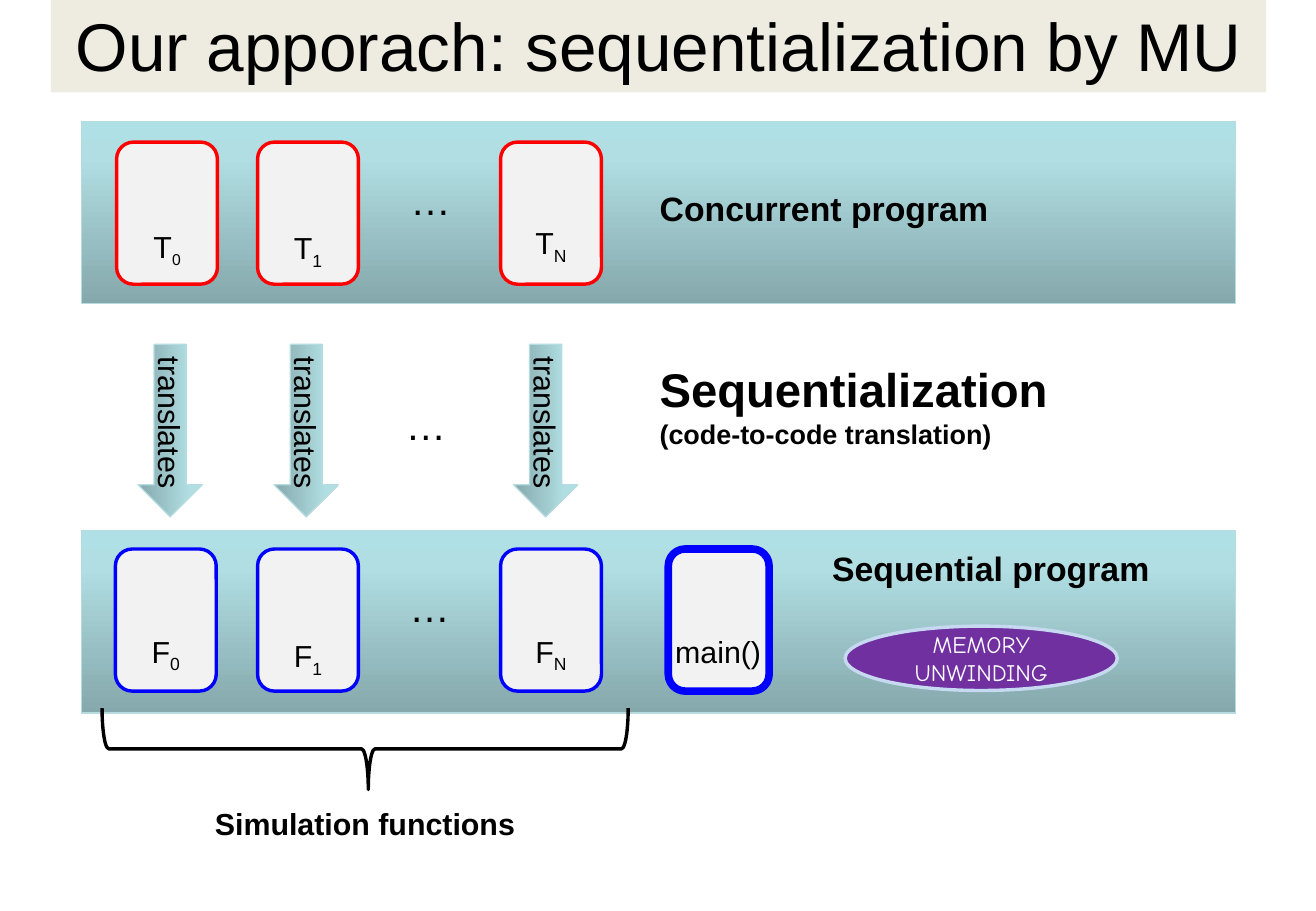
from copy import deepcopy

from pptx import Presentation
from pptx.dml.color import RGBColor
from pptx.enum.shapes import MSO_SHAPE
from pptx.enum.text import MSO_ANCHOR, PP_ALIGN
from pptx.util import Emu, Pt

RECTANGLE = MSO_SHAPE.RECTANGLE
ROUNDED = MSO_SHAPE.ROUNDED_RECTANGLE
ARROW = MSO_SHAPE.RIGHT_ARROW
BRACE = MSO_SHAPE.LEFT_BRACE
ELLIPSE = MSO_SHAPE.OVAL
LEFT, CENTER = PP_ALIGN.LEFT, PP_ALIGN.CENTER
MIDDLE = MSO_ANCHOR.MIDDLE

EMU_PER_PX = 9144  # 100 px to the inch
CARD_WIDTH = 83
RED, BLUE, BLACK = "FF0000", "0000FF", "000000"
BAND_STOPS = ((0, "85A8AC"), (0.8, "B0DEE2"), (1, "AFE0E5"))
BAND_LINE = "B6DCE0"


def px(value):
    return Emu(value * EMU_PER_PX)


def rgb(color):
    return RGBColor.from_string(color)


def add_run(paragraph, text, size=18, color=BLACK, font="Arial", bold=False, subscript=False):
    run = paragraph.add_run()
    run.text = text
    run.font.size = Pt(size)
    run.font.name = font
    run.font.bold = bold
    run.font.color.rgb = rgb(color)
    if subscript:
        run.font._element.set("baseline", "-25000")


def add_text(slide, box, text, align=LEFT, **text_format):
    """Add a text box and return its frame and first paragraph."""
    frame = slide.shapes.add_textbox(*map(px, box)).text_frame
    frame.word_wrap = True
    paragraph = frame.paragraphs[0]
    paragraph.alignment = align
    add_run(paragraph, text, **text_format)
    return frame, paragraph


def add_shape(slide, kind, box, fill=None, line=None, line_width=2, rotation=0, adjustments=()):
    shape = slide.shapes.add_shape(kind, *map(px, box))
    shape.shadow.inherit = False
    shape.rotation = rotation
    for index, value in enumerate(adjustments):
        shape.adjustments[index] = value
    if fill:
        shape.fill.solid()
        shape.fill.fore_color.rgb = rgb(fill)
    else:
        shape.fill.background()
    if line:
        shape.line.color.rgb = rgb(line)
        shape.line.width = Pt(line_width)
    else:
        shape.line.fill.background()
    return shape


def write_inside(shape, text, wrap=True, **text_format):
    """Write centred text in a shape and return its frame."""
    frame = shape.text_frame
    frame.word_wrap = wrap
    frame.vertical_anchor = MIDDLE
    frame.paragraphs[0].alignment = CENTER
    add_run(frame.paragraphs[0], text, **text_format)
    return frame


def add_gradient_shape(slide, kind, box, rotation=0):
    shape = add_shape(slide, kind, box, line=BAND_LINE, line_width=0.75, rotation=rotation)
    shape.fill.gradient()
    shape.fill.gradient_angle = 90
    stop_list = shape._element.spPr.gradFill.gsLst
    stop_list.append(deepcopy(stop_list[0]))
    for stop, (position, color) in zip(shape.fill.gradient_stops, BAND_STOPS):
        stop.position = position
        stop.color.rgb = rgb(color)
    return shape


def add_card(slide, left, top, color, label_top, name, index="", label_width=67, line_width=2):
    """Add a rounded card with its name and subscript index."""
    add_shape(slide, ROUNDED, (left, top, CARD_WIDTH, 117), "F2F2F2", color,
              line_width, adjustments=(0.167,))
    label_left = left + (CARD_WIDTH - label_width) // 2
    _, paragraph = add_text(slide, (label_left, label_top, label_width, 40), name, CENTER)
    if index:
        add_run(paragraph, index, size=16 if name + index == "T0" else 18, subscript=True)


def add_arrow(slide, left):
    arrow = add_gradient_shape(slide, ARROW, (left, 328, 142, 53), rotation=90)
    write_inside(arrow, "translates", wrap=False)


def add_memory_unwinding(slide):
    ellipse = add_shape(slide, ELLIPSE, (781, 430, 53, 224), "7030A0", "C6D9F1", rotation=90)
    frame = write_inside(ellipse, "MEMORY UNWINDING", size=14, color="FFFFFF", font="Comic Neue")
    frame.margin_left = frame.margin_right = frame.margin_top = frame.margin_bottom = 0
    frame._txBody.bodyPr.set("vert", "vert270")


def main():
    presentation = Presentation()
    presentation.slide_width, presentation.slide_height = px(1083), px(750)
    slide = presentation.slides.add_slide(presentation.slide_layouts[6])

    for top in (437, 100):
        add_gradient_shape(slide, RECTANGLE, (67, top, 950, 150))
    title = add_shape(slide, RECTANGLE, (42, -3, 1000, 79), "EEECE1")
    write_inside(title, "Our apporach: sequentialization by MU", size=40)

    for left, label_top, index in ((96, 183, "0"), (212, 184, "1"), (412, 180, "N")):
        add_card(slide, left, 117, RED, label_top, "T", index)
    for left, label_top, index in ((95, 516, "0"), (212, 520, "1"), (412, 516, "N")):
        add_card(slide, left, 452, BLUE, label_top, "F", index)
    add_card(slide, 550, 452, BLUE, 516, "main()", label_width=92, line_width=4.5)

    for left in (378, 181, 69):
        add_arrow(slide, left)
    for left, top in ((296, 139), (292, 324), (295, 474)):
        add_text(slide, (left, top, 117, 51), "…", CENTER, size=24)

    add_text(slide, (533, 150, 542, 44), "Concurrent program", size=20, bold=True)
    add_text(slide, (675, 446, 400, 44), "Sequential program", size=20, bold=True)
    frame, _ = add_text(slide, (533, 292, 483, 84), "Sequentialization", size=28, bold=True)
    add_run(frame.add_paragraph(), "(code-to-code translation)", size=16, bold=True)

    add_shape(slide, BRACE, (267, 400, 67, 433), line=BLACK, rotation=270,
              adjustments=(0.083, 0.506))
    add_text(slide, (167, 658, 441, 40), "Simulation functions", bold=True)
    add_memory_unwinding(slide)

    presentation.save("out.pptx")


if __name__ == "__main__":
    main()
